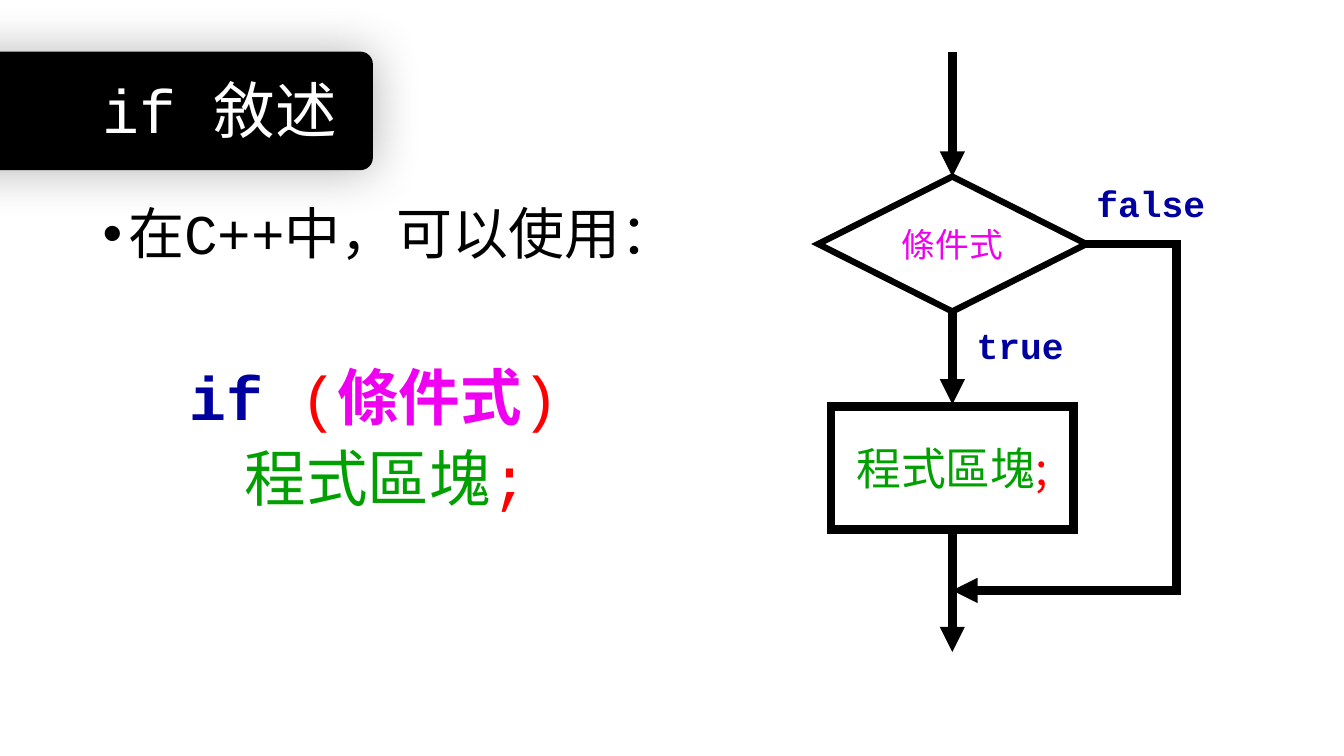
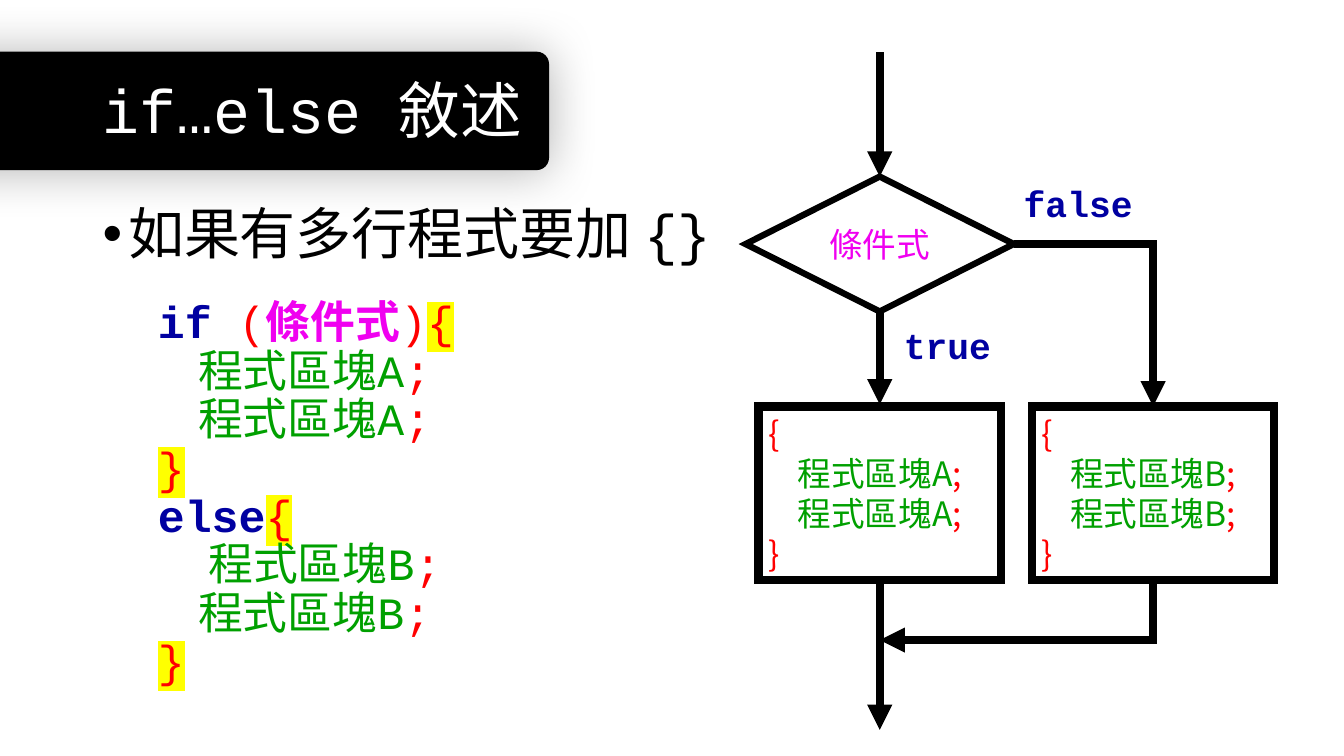
import dataclasses

import lxml.etree
import pptx
import pptx.dml.color
import pptx.enum.shapes
import pptx.enum.text
import pptx.oxml.ns
import pptx.util

Cm = pptx.util.Cm
Pt = pptx.util.Pt
Shape = pptx.enum.shapes.MSO_SHAPE
Link = pptx.enum.shapes.MSO_CONNECTOR
Align = pptx.enum.text.PP_ALIGN
Anchor = pptx.enum.text.MSO_ANCHOR
TOP, BASE, RIGHT = 0, 2, 3


@dataclasses.dataclass(frozen=True)
class Theme:
    black: str = "000000"
    white: str = "FFFFFF"
    key: str = "0000A1"
    sign: str = "FF0000"
    test: str = "F000F0"
    code: str = "00A000"
    mark: str = "FFFF00"
    mono: str = "Courier New"
    sans: str = "Noto Sans CJK TC"
    title: float = 44
    body: float = 40
    large: float = 32
    small: float = 24
    label: float = 25.9
    thick: float = 6
    thin: float = 4.5


T = Theme()


@dataclasses.dataclass(frozen=True)
class Style:
    color: str
    bold: bool = False
    mark: bool = False


PLAIN = Style(T.black)
HEAD = Style(T.white)
KEY = Style(T.key, bold=True)
SIGN = Style(T.sign)
BRACE = Style(T.sign, mark=True)
TEST = Style(T.test)
STRONG = Style(T.test, bold=True)
CODE = Style(T.code)
TEST_LINE = [("if ", KEY), ("(", SIGN), ("條件式", STRONG), (")", SIGN)]


def rgb(text):
    return pptx.dml.color.RGBColor.from_string(text)


def node(tag, **attrs):
    item = lxml.etree.Element(pptx.oxml.ns.qn("a:" + tag))
    for name, value in attrs.items():
        item.set(name, str(value))
    return item


def add_run(para, text, style, font, size):
    run = para.add_run()
    run.text = text
    run.font.size = Pt(size)
    run.font.bold = style.bold
    run.font.color.rgb = rgb(style.color)
    run.font.name = font
    props = run.font._element
    props.find(pptx.oxml.ns.qn("a:latin")).addnext(node("ea", typeface=T.sans))
    if style.mark:
        glow = node("highlight")
        glow.append(node("srgbClr", val=T.mark))
        props.find(pptx.oxml.ns.qn("a:solidFill")).addnext(glow)


def write(shape, lines, font, size, space=None, gap=0, anchor=Anchor.MIDDLE):
    frame = shape.text_frame
    frame.word_wrap = True
    frame.vertical_anchor = anchor
    for index, runs in enumerate(lines):
        para = frame.paragraphs[0] if index == 0 else frame.add_paragraph()
        para.alignment = Align.LEFT
        if space:
            para.line_spacing = space
        if index and gap:
            para.space_before = Pt(gap)
        for text, style in runs:
            add_run(para, text, style, font, size)
    return frame


def add_text(slide, area, lines, size, **opts):
    box = slide.shapes.add_textbox(*map(Cm, area))
    return write(box, lines, T.mono, size, **opts)


def add_band(slide, width, title):
    band = slide.shapes.add_shape(
        Shape.ROUNDED_RECTANGLE, Cm(-5.38), Cm(1.32), Cm(width + 5.38), Cm(2.95))
    band.adjustments[0] = 0.1
    band.fill.solid()
    band.fill.fore_color.rgb = rgb(T.black)
    band.line.color.rgb = rgb(T.black)
    band.line.width = Pt(1)
    band.shadow.inherit = False
    shade = node("outerShdw", blurRad=Pt(36), dist=0, dir=0, algn="ctr", rotWithShape=0)
    tint = node("srgbClr", val=T.black)
    tint.append(node("alpha", val=30000))
    shade.append(tint)
    band._element.spPr.find(pptx.oxml.ns.qn("a:effectLst")).append(shade)
    add_text(slide, (2.34, 1.02, 29.2, 3.68), [[(title, HEAD)]], T.title, space=0.9)


def add_point(slide, text):
    frame = add_text(slide, (2.34, 5.08, 17, 2.2), [[(text, PLAIN)]], T.body,
                     space=0.9, anchor=Anchor.TOP)
    props = frame.paragraphs[0]._p.get_or_add_pPr()
    props.set("marL", str(Cm(0.64)))
    props.set("indent", str(Cm(-0.64)))
    props.append(node("buFont", typeface="Arial"))
    props.append(node("buChar", char="•"))


def add_node(slide, kind, area, width, lines, size):
    shape = slide.shapes.add_shape(kind, *map(Cm, area))
    shape.shadow.inherit = False
    shape.fill.solid()
    shape.fill.fore_color.rgb = rgb(T.white)
    shape.line.color.rgb = rgb(T.black)
    shape.line.width = Pt(width)
    shape.line._get_or_add_ln().append(node("miter", lim=800000))
    write(shape, lines, T.sans, size)
    for para in shape.text_frame.paragraphs:
        if para.text not in ("{", "}"):
            para.alignment = Align.CENTER
    return shape


def add_block(slide, mid, height, lines, size):
    return add_node(slide, Shape.FLOWCHART_PROCESS, (mid - 3.05, 10.24, 6.1, height),
                    T.thick, lines, size)


def add_arrow(slide, start, end, kind=Link.STRAIGHT, tip="tailEnd"):
    arrow = slide.shapes.add_connector(kind, *map(Cm, start + end))
    arrow.line.color.rgb = rgb(T.black)
    arrow.line.width = Pt(T.thick)
    line = arrow.line._get_or_add_ln()
    line.append(node("miter", lim=800000))
    line.append(node(tip, type="triangle"))
    arrow._element.spPr.append(node("effectLst"))
    return arrow


def set_bend(arrow, kind, **values):
    geom = arrow._element.spPr.find(pptx.oxml.ns.qn("a:prstGeom"))
    geom.set("prst", kind)
    guides = geom.find(pptx.oxml.ns.qn("a:avLst"))
    for name, value in values.items():
        guides.append(node("gd", name=name, fmla=f"val {value}"))


def add_label(slide, left, top, width, text):
    add_text(slide, (left, top, width, 1.19), [[(text, KEY)]], T.label, space=0.8)


def add_flow(slide, mid, base, end):
    test = add_node(slide, Shape.FLOWCHART_DECISION, (mid - 3.38, 4.45, 6.76, 3.4),
                    T.thin, [[("條件式", TEST)]], T.small)
    for top, low in ((1.32, 4.45), (7.85, 10.19), (base, end)):
        add_arrow(slide, (mid, top), (mid, low))
    add_label(slide, mid + 0.36, 8.2, 3.02, "true")
    add_label(slide, mid + 3.38, 4.62, 3.38, "false")
    return test


def add_if(deck):
    slide = deck.slides.add_slide(deck.slide_layouts[6])
    mid = 24
    add_band(slide, 9.38, "if 敘述")
    add_point(slide, "在C++中，可以使用：")
    block = [("程式區塊", CODE), (";", SIGN)]
    add_text(slide, (4.52, 8.41, 13.4, 5.41),
             [TEST_LINE, [("    ", PLAIN)] + block], T.title, space=0.9, gap=10)
    test = add_flow(slide, mid, 13.31, 16.43)
    add_block(slide, mid, 3.1, [block], T.large)
    skip = add_arrow(slide, (mid + 3.38, 6.15), (mid, 14.88), Link.ELBOW)
    skip.begin_connect(test, RIGHT)
    set_bend(skip, "bentConnector3", adj1=-67300)


def add_else(deck):
    slide = deck.slides.add_slide(deck.slide_layouts[6])
    mid, side = 22.17, 29.06
    add_band(slide, 13.82, "if…else 敘述")
    add_point(slide, "如果有多行程式要加 {}")
    first, other = ([("程式區塊" + name, CODE), (";", SIGN)] for name in "AB")
    pad, close = [("    ", PLAIN)], [("}", BRACE)]
    code = [
        TEST_LINE + [("{", BRACE)],
        pad + first,
        pad + first,
        close,
        [("else", KEY), ("{", BRACE)],
        [("\t", PLAIN)] + other,
        pad + other,
        close,
    ]
    add_text(slide, (3.73, 7.16, 13.4, 10.57), code, T.large, space=0.9)
    test = add_flow(slide, mid, 14.56, 18.39)
    left, right = (
        add_block(slide, x, 4.37, [[("{", SIGN)], line, line, [("}", SIGN)]], T.small)
        for x, line in ((mid, first), (side, other)))
    fork = add_arrow(slide, (mid + 3.38, 6.15), (side, 10.24), Link.ELBOW)
    fork.begin_connect(test, RIGHT)
    fork.end_connect(right, TOP)
    set_bend(fork, "bentConnector2")
    join = add_arrow(slide, (mid, 16.13), (side, 14.61), Link.ELBOW, "headEnd")
    join.end_connect(right, BASE)
    set_bend(join, "bentConnector2")


def main():
    deck = pptx.Presentation()
    deck.slide_width, deck.slide_height = Cm(33.87), Cm(19.05)
    add_if(deck)
    add_else(deck)
    deck.save("out.pptx")


if __name__ == "__main__":
    main()
